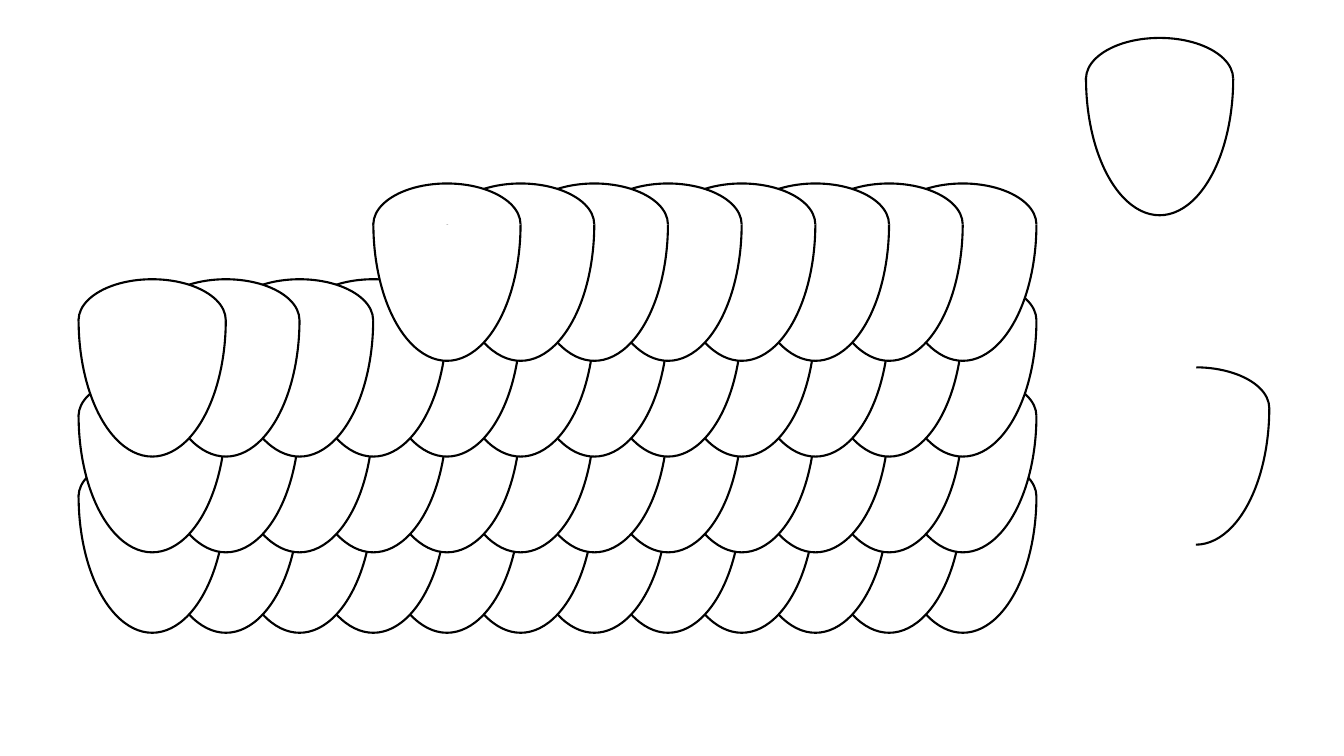
from pptx import Presentation
from pptx.dml.color import RGBColor
from pptx.enum.shapes import MSO_SHAPE as Shape
from pptx.util import Inches, Pt

WHITE = RGBColor(255, 255, 255)
BLACK = RGBColor(0, 0, 0)

# Grid: scales sit one column apart, layers one row apart
COLS = 12
LEFT, TOP = Inches(0.78), Inches(1.82)
COL = (Inches(8.82) - LEFT) / (COLS - 1)
ROW = Inches(0.95)

# Each scale is two columns wide: a low cap over a deep bowl
WIDE = Inches(1.46)
CAP, BOWL = Inches(0.81), Inches(2.71)

# Arc start angles, in units of 100000/60000 degrees
HALF = 107.41
QUARTER = 162.06, 162.47

# Layers from back to front: row and first column
LAYERS = [(2.84, 0), (2, 0), (1, 0), (0, 4)]


def add_arc(group, left, top, high, start, flip=False):
    arc = group.shapes.add_shape(Shape.ARC, left, top, WIDE, high)
    for index, angle in enumerate((start, 0)):
        arc.adjustments[index] = angle
    arc.shadow.inherit = False
    arc.fill.solid()
    arc.fill.fore_color.rgb = WHITE
    arc.line.color.rgb = BLACK
    arc.line.width = Pt(1.5)
    if flip:
        arc._element.spPr.xfrm.set("flipV", "1")


def add_scale(slide, col, row, starts=(HALF, HALF)):
    group = slide.shapes.add_group_shape()
    left, top = round(LEFT + col * COL), round(TOP + row * ROW)
    # Both arcs share one centre line
    rise = (BOWL - CAP) // 2
    add_arc(group, left, top - rise, BOWL, starts[0], flip=True)
    add_arc(group, left, top, CAP, starts[1])


def main():
    deck = Presentation()
    deck.slide_width, deck.slide_height = Inches(13.33), Inches(7.5)
    slide = deck.slides.add_slide(deck.slide_layouts[6])

    # Overlapping layers, each laid from right to left
    for row, first in LAYERS:
        for col in reversed(range(first, COLS)):
            add_scale(slide, col, row)

    # Single scale and its right half
    add_scale(slide, 13.67, -1.52)
    add_scale(slide, 14.16, 1.92, QUARTER)

    deck.save("out.pptx")


if __name__ == "__main__":
    main()
